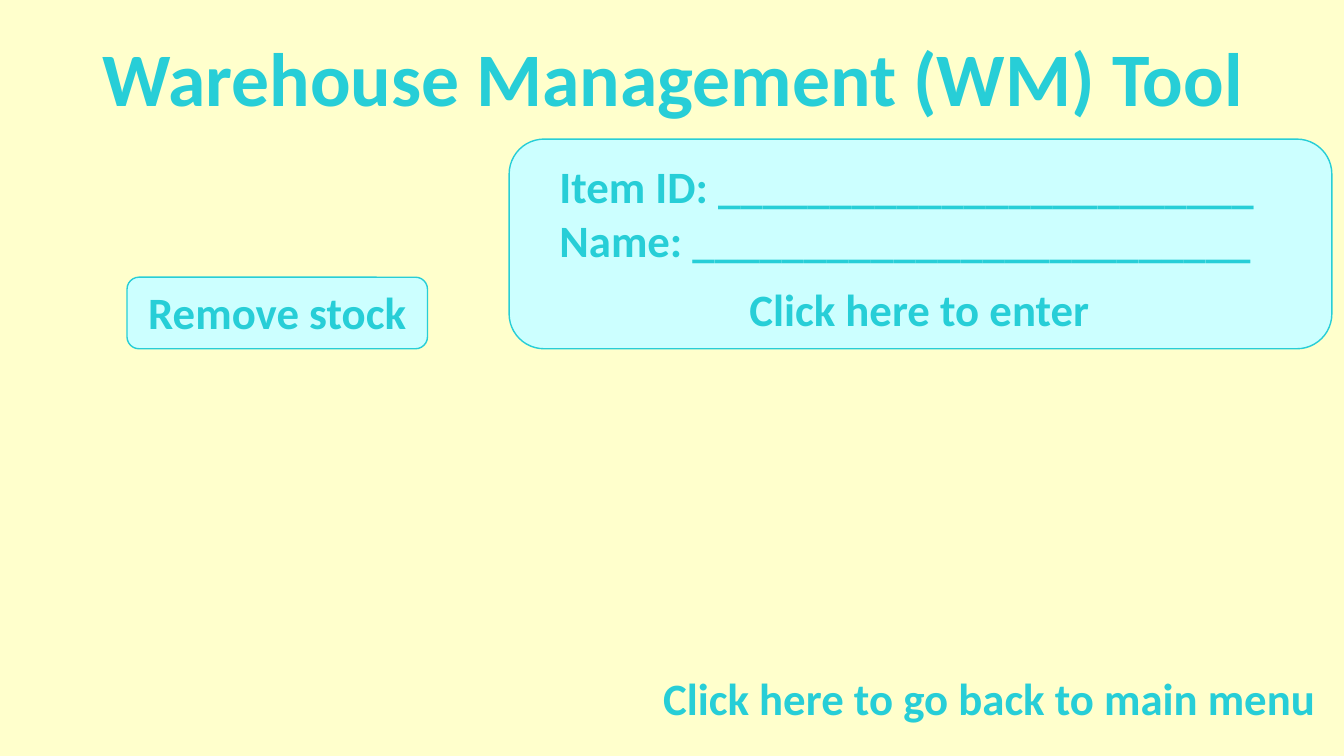
from dataclasses import dataclass

from pptx import Presentation
from pptx.dml.color import RGBColor
from pptx.enum.shapes import MSO_SHAPE
from pptx.enum.text import MSO_ANCHOR, MSO_AUTO_SIZE, PP_ALIGN
from pptx.util import Inches, Pt

LEFT, CENTER = PP_ALIGN.LEFT, PP_ALIGN.CENTER
TOP = MSO_ANCHOR.TOP
NO_AUTOFIT = MSO_AUTO_SIZE.NONE
ROUNDED = MSO_SHAPE.ROUNDED_RECTANGLE

FONT = "Calibri"
COLORS = {"background": "FFFFCC", "panel": "CCFFFF", "accent": "27CED7"}


@dataclass(frozen=True)
class Box:
    left: float
    top: float
    width: float
    height: float

    def emu(self) -> tuple:
        return tuple(Inches(v) for v in (self.left, self.top, self.width, self.height))


@dataclass(frozen=True)
class Label:
    box: Box
    lines: tuple
    align: PP_ALIGN = CENTER


def color(name: str) -> RGBColor:
    return RGBColor.from_string(COLORS[name])


def write_text(frame, lines: tuple, *, size: int = 32, align: PP_ALIGN = CENTER,
               wrap: bool = True) -> None:
    frame.word_wrap = wrap
    frame.auto_size = NO_AUTOFIT
    frame.vertical_anchor = TOP
    for index, line in enumerate(lines):
        paragraph = frame.paragraphs[0] if index == 0 else frame.add_paragraph()
        paragraph.alignment = align
        paragraph.line_spacing = 1.0
        paragraph.space_before = Pt(0)
        run = paragraph.add_run()
        run.text = line
        run.font.name = FONT
        run.font.size = Pt(size)
        run.font.bold = True
        run.font.color.rgb = color("accent")


def add_panel(slide, box: Box) -> None:
    panel = slide.shapes.add_shape(ROUNDED, *box.emu())
    panel.shadow.inherit = False
    panel.fill.solid()
    panel.fill.fore_color.rgb = color("panel")
    panel.line.color.rgb = color("accent")
    panel.line.width = Pt(1)


def add_label(slide, label: Label) -> None:
    text_box = slide.shapes.add_textbox(*label.box.emu())
    write_text(text_box.text_frame, label.lines, align=label.align)


# Slide and background
presentation = Presentation()
presentation.slide_width = Inches(13.33)
presentation.slide_height = Inches(7.5)
tool_slide = presentation.slides.add_slide(presentation.slide_layouts[5])
tool_slide.background.fill.solid()
tool_slide.background.fill.fore_color.rgb = color("background")

# Title
heading = tool_slide.shapes.title
heading.left, heading.top, heading.width, heading.height = Box(0.86, 0.26, 11.63, 1.01).emu()
write_text(heading.text_frame, ("Warehouse Management (WM) Tool",), size=54, wrap=False)

# Action button and entry form panels
PANELS = (Box(1.26, 2.75, 2.98, 0.71), Box(5.05, 1.38, 8.16, 2.08))
for panel_box in PANELS:
    add_panel(tool_slide, panel_box)

# Button captions, form fields and navigation
LABELS = (
    Label(Box(0.86, 2.78, 3.78, 0.64), ("Remove stock",)),
    Label(Box(5.45, 1.53, 7.75, 1.18),
          ("Item ID: " + "_" * 24, "Name: " + "_" * 25), LEFT),
    Label(Box(6.3, 6.61, 7.03, 0.64), ("Click here to go back to main menu",)),
    Label(Box(7.23, 2.75, 3.78, 0.64), ("Click here to enter",)),
)
for label in LABELS:
    add_label(tool_slide, label)

presentation.save("out.pptx")
